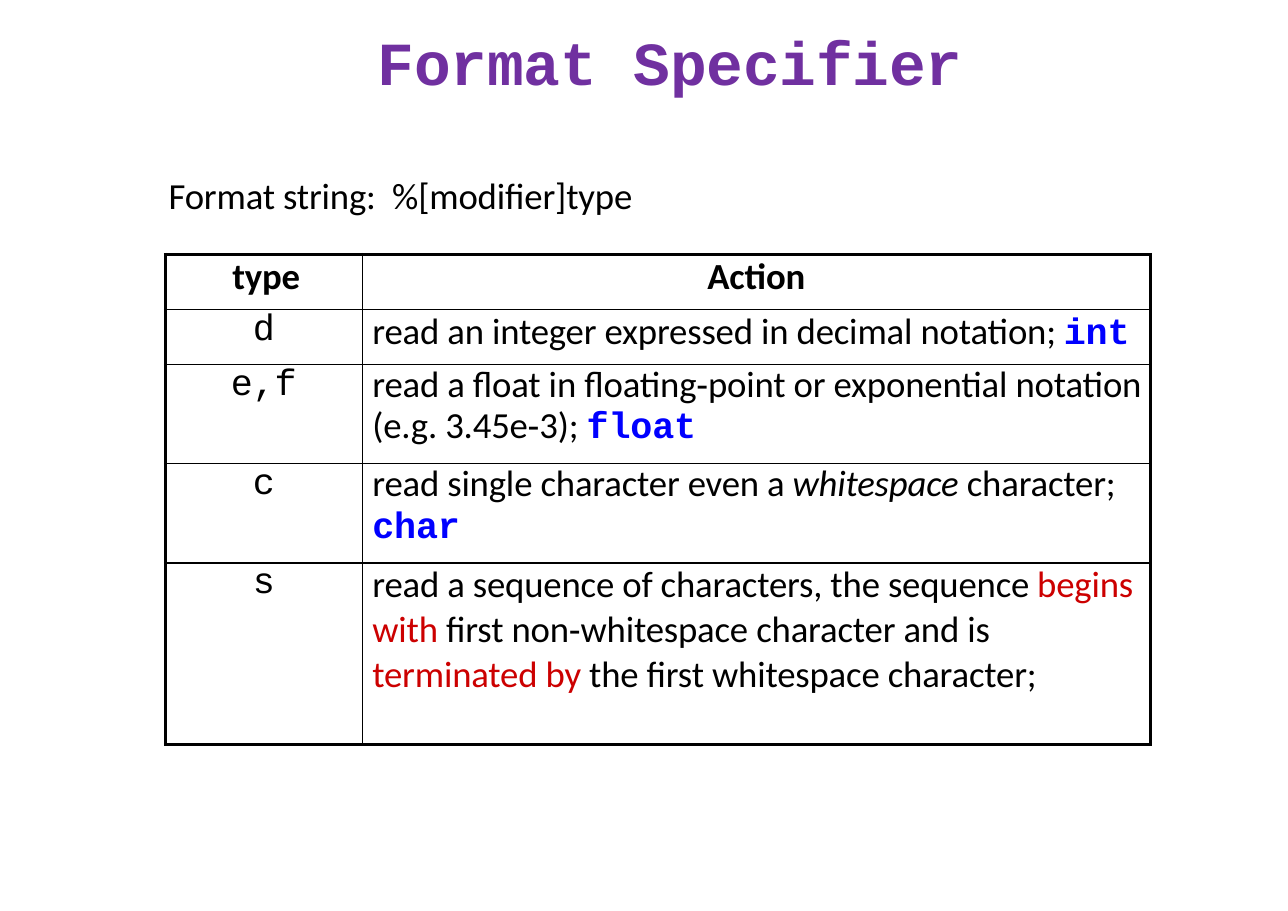
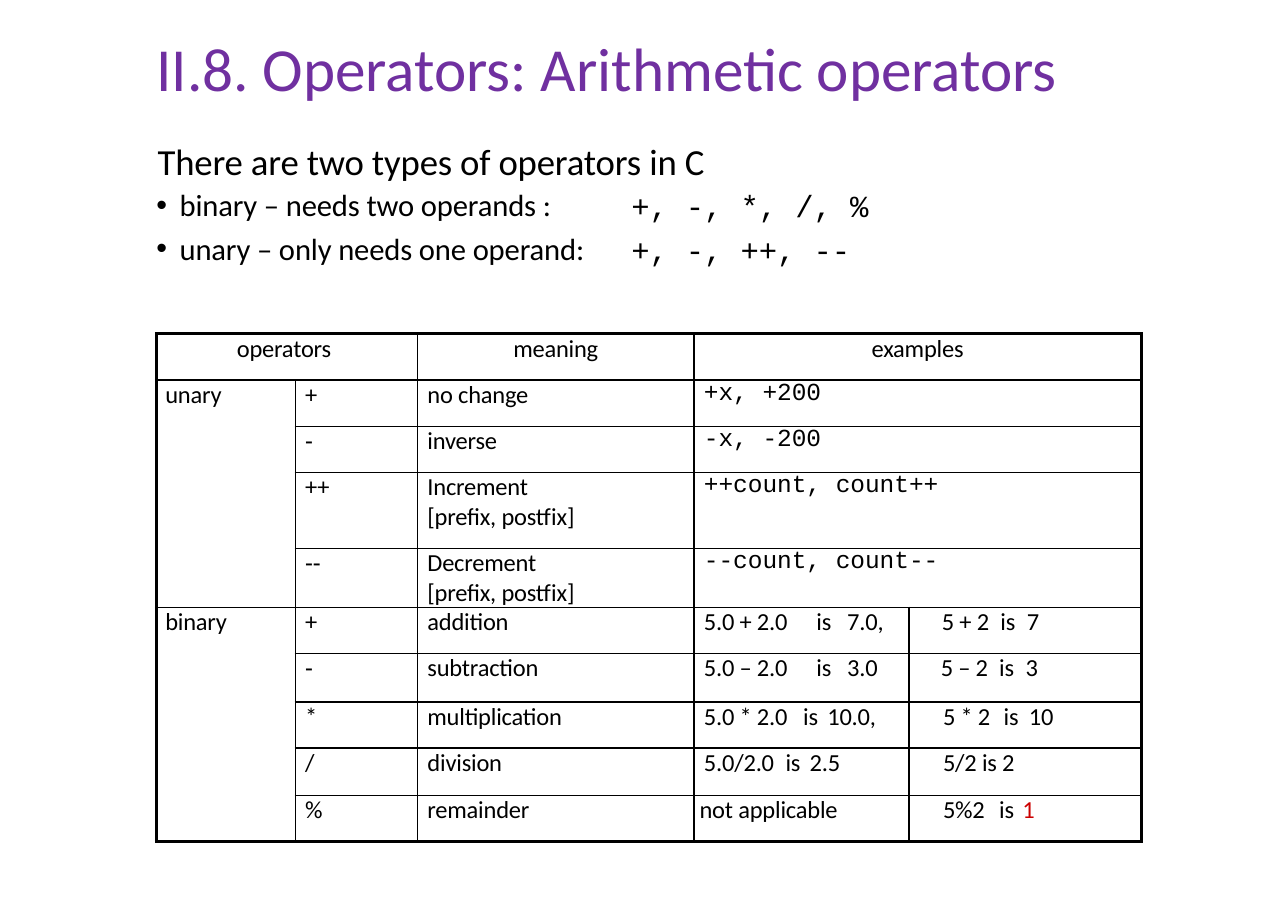
from dataclasses import dataclass, field

from lxml.etree import SubElement
from pptx import Presentation
from pptx.dml.color import RGBColor
from pptx.enum.text import MSO_ANCHOR, PP_ALIGN
from pptx.oxml.ns import qn
from pptx.util import Inches, Pt

# Shared style
PURPLE = RGBColor(0x70, 0x30, 0xA0)
BLACK = RGBColor(0x00, 0x00, 0x00)
BLUE = RGBColor(0x00, 0x00, 0xFF)
RED = RGBColor(0xCC, 0x00, 0x00)
SANS = "Calibri"
MONO = "Courier New"
TITLE_SIZE = 40
OUTER, INNER = 2.25, 1
PAD = 0.09


@dataclass
class Run:
    text: str
    fmt: dict = field(default_factory=dict)


Line = str | list[Run]


@dataclass
class Cell:
    lines: list[Line]
    fmt: dict = field(default_factory=dict)
    left: float = PAD
    center: bool = False
    spacing: float | None = None
    tabs: tuple = ()
    rows: int = 1
    cols: int = 1


def add_text(p, text: str, *, size=24, font=SANS, color=BLACK, bold=False,
             italic=False, spc=-0.1) -> None:
    r = p.add_run()
    r.text = text
    r.font.size = Pt(size)
    r.font.name = font
    r.font.color.rgb = color
    r.font.bold = bold
    r.font.italic = italic
    r._r.get_or_add_rPr().set("spc", str(round(spc * 100)))


def set_tabs(p, stops: tuple) -> None:
    tab_list = SubElement(p._p.get_or_add_pPr(), qn("a:tabLst"))
    for stop in stops:
        SubElement(tab_list, qn("a:tab"), pos=str(Inches(stop)), algn="l")


def set_bullet(p, indent: float) -> None:
    pPr = p._p.get_or_add_pPr()
    pPr.set("marL", str(Inches(indent)))
    pPr.set("indent", str(-Inches(indent)))
    SubElement(pPr, qn("a:buFont"), typeface="Arial")
    SubElement(pPr, qn("a:buChar"), char="•")


def fill_lines(tf, lines: list[Line], *, center=False, spacing=None, before=0,
               bullet=0, tabs=(), **fmt) -> None:
    for i, line in enumerate(lines):
        p = tf.add_paragraph() if i else tf.paragraphs[0]
        p.alignment = PP_ALIGN.CENTER if center else PP_ALIGN.LEFT
        if spacing:
            p.line_spacing = Pt(spacing)
        if i and before:
            p.space_before = Pt(before)
        if bullet:
            set_bullet(p, bullet)
        if tabs:
            set_tabs(p, tabs)
        for run in [Run(line)] if isinstance(line, str) else line:
            add_text(p, run.text, **{**fmt, **run.fmt})


def add_box(s, x: float, y: float, w: float, h: float, lines: list[Line], **fmt) -> None:
    tf = s.shapes.add_textbox(Inches(x), Inches(y), Inches(w), Inches(h)).text_frame
    tf.word_wrap = True
    tf.margin_left = tf.margin_right = tf.margin_top = tf.margin_bottom = 0
    fill_lines(tf, lines, **fmt)


def add_title(s, x: float, y: float, w: float, text: str, **fmt) -> None:
    add_box(s, x, y, w, 0.67, [text], size=TITLE_SIZE, color=PURPLE, **fmt)


def set_borders(cell, widths: dict[str, float]) -> None:
    tcPr = cell._tc.get_or_add_tcPr()
    for side, width in widths.items():
        ln = SubElement(tcPr, qn(f"a:ln{side}"), w=str(Pt(width)))
        if width:
            SubElement(SubElement(ln, qn("a:solidFill")), qn("a:srgbClr"), val=str(BLACK))
        else:
            SubElement(ln, qn("a:noFill"))


def add_grid(s, x: float, y: float, widths: list[float], heights: list[float],
             grid: list[list[Cell | None]], size: int) -> None:
    n_rows, n_cols = len(heights), len(widths)
    table = s.shapes.add_table(n_rows, n_cols, Inches(x), Inches(y), Inches(sum(widths)),
                               Inches(sum(heights))).table
    table.first_row = table.horz_banding = False
    for col, w in zip(table.columns, widths):
        col.width = Inches(w)
    for row, h in zip(table.rows, heights):
        row.height = Inches(h)

    # Each cell takes its borders from the merged area it belongs to
    for r0, row in enumerate(grid):
        for c0, item in enumerate(row):
            if item is None:
                continue
            r1, c1 = r0 + item.rows, c0 + item.cols
            top = table.cell(r0, c0)
            if item.rows * item.cols > 1:
                top.merge(table.cell(r1 - 1, c1 - 1))
            edges = {"L": OUTER if c0 == 0 else INNER, "R": OUTER if c1 == n_cols else INNER,
                     "T": OUTER if r0 == 0 else INNER, "B": OUTER if r1 == n_rows else INNER}
            for r in range(r0, r1):
                for c in range(c0, c1):
                    cell = table.cell(r, c)
                    on_edge = {"L": c == c0, "R": c == c1 - 1, "T": r == r0, "B": r == r1 - 1}
                    is_top = (r, c) == (r0, c0)
                    set_borders(cell, {k: w if is_top or on_edge[k] else 0
                                       for k, w in edges.items()})
                    cell.fill.background()
                    cell.margin_left = cell.margin_right = 0
                    cell.margin_top = cell.margin_bottom = 0
            top.vertical_anchor = MSO_ANCHOR.TOP
            top.margin_left = 0 if item.center else Inches(item.left)
            fill_lines(top.text_frame, item.lines, center=item.center, spacing=item.spacing,
                       tabs=item.tabs, **{"size": size, **item.fmt})


def build_format_slide(s) -> None:
    add_title(s, 3.43, 0.22, 5.6, "Format Specifier", font=MONO, bold=True)
    add_box(s, 1.53, 1.57, 4.29, 0.4, ["Format string:\t%[modifier]type"], tabs=(2.03,))

    bold = {"bold": True}
    keyword = {"font": MONO, "color": BLUE, "bold": True}
    red = {"color": RED}
    actions = [
        ("d", Cell([[Run("read an integer expressed in decimal notation; "),
                     Run("int", keyword)]])),
        ("e,f", Cell([[Run("read a float in floating‐point or exponential notation "
                           "(e.g. 3.45e‐3); "), Run("float", keyword)]], spacing=27.8)),
        ("c", Cell([[Run("read single character even a "), Run("whitespace", {"italic": True}),
                     Run(" character;")], [Run("char", keyword)]], spacing=28.1)),
        ("s", Cell([[Run("read a sequence of characters, the sequence "),
                     Run("begins with ", red),
                     Run("first non‐whitespace character and is "),
                     Run("terminated by ", red),
                     Run("the first whitespace character;")]])),
    ]
    grid = [[Cell(["type"], bold, left=0.61), Cell(["Action"], bold, center=True)]]
    grid += [[Cell([kind], {"font": MONO}, center=True), action] for kind, action in actions]
    add_grid(s, 1.5, 2.31, [1.79, 7.15], [0.5, 0.5, 0.9, 0.9, 1.65], grid, 24)


def build_operators_slide(s) -> None:
    add_title(s, 1.42, 0.28, 8.74, "II.8. Operators: Arithmetic operators", spc=0)
    add_box(s, 1.43, 1.26, 5.08, 0.33, ["There are two types of operators in C"])
    add_box(s, 1.42, 1.69, 3.95, 0.7,
            ["binary – needs two operands :", "unary – only needs one operand:"],
            size=20, before=4.7, bullet=0.21)
    add_box(s, 5.73, 1.7, 2.21, 0.7, ["+, -, *, /, %", "+, -, ++, --"],
            size=20, font=MONO, before=4.7)

    unary = [
        ("+", ["no change"], "+x, +200"),
        ("‐", ["inverse"], "-x, -200"),
        ("++", ["Increment", "[prefix, postfix]"], "++count, count++"),
        ("‐‐", ["Decrement", "[prefix, postfix]"], "--count, count--"),
    ]
    # Tab stops place "is" and the value of each example
    binary = [
        ("+", "addition", Cell(["5.0 + 2.0\tis\t7.0,"], tabs=(1.02, 1.3)),
         Cell(["5 + 2\tis\t7"], left=0.3, tabs=(0.53, 0.77))),
        ("‐", "subtraction", Cell(["5.0 – 2.0\tis\t3.0"], tabs=(1.02, 1.3)),
         Cell(["5 – 2\tis\t3"], left=0.29, tabs=(0.53, 0.77))),
        ("*", "multiplication", Cell(["5.0 * 2.0\tis\t10.0,"], tabs=(0.9, 1.12)),
         Cell(["5 * 2\tis\t10"], left=0.31, tabs=(0.55, 0.78))),
        ("/", "division", Cell(["5.0/2.0\tis\t2.5"], tabs=(0.74, 0.96)),
         Cell(["5/2 is 2"], left=0.31)),
        ("%", "remainder", Cell(["not applicable"], left=0.05),
         Cell([[Run("5%2\tis\t"), Run("1", {"color": RED})]], left=0.31, tabs=(0.51, 0.72))),
    ]
    grid = [[Cell(["operators"], left=0.73, cols=2), None, Cell(["meaning"], center=True),
             Cell(["examples"], center=True, cols=2), None]]
    for i, (sign, meaning, example) in enumerate(unary):
        group = None if i else Cell(["unary"], left=0.08, rows=len(unary))
        grid.append([group, Cell([sign]), Cell(meaning),
                     Cell([example], {"font": MONO, "spc": 0}, cols=2), None])
    for i, (sign, meaning, real, whole) in enumerate(binary):
        group = None if i else Cell(["binary"], left=0.08, rows=len(binary))
        grid.append([group, Cell([sign]), Cell([meaning]), real, whole])
    heights = [0.42, 0.42, 0.42, 0.69, 0.53, 0.42, 0.44, 0.42, 0.43, 0.42]
    add_grid(s, 1.42, 3.03, [1.26, 1.11, 2.51, 1.95, 2.11], heights, grid, 16)


def main() -> None:
    prs = Presentation()
    prs.slide_width, prs.slide_height = Inches(11.69), Inches(8.27)
    for build in (build_format_slide, build_operators_slide):
        build(prs.slides.add_slide(prs.slide_layouts[6]))
    prs.save("out.pptx")


if __name__ == "__main__":
    main()
